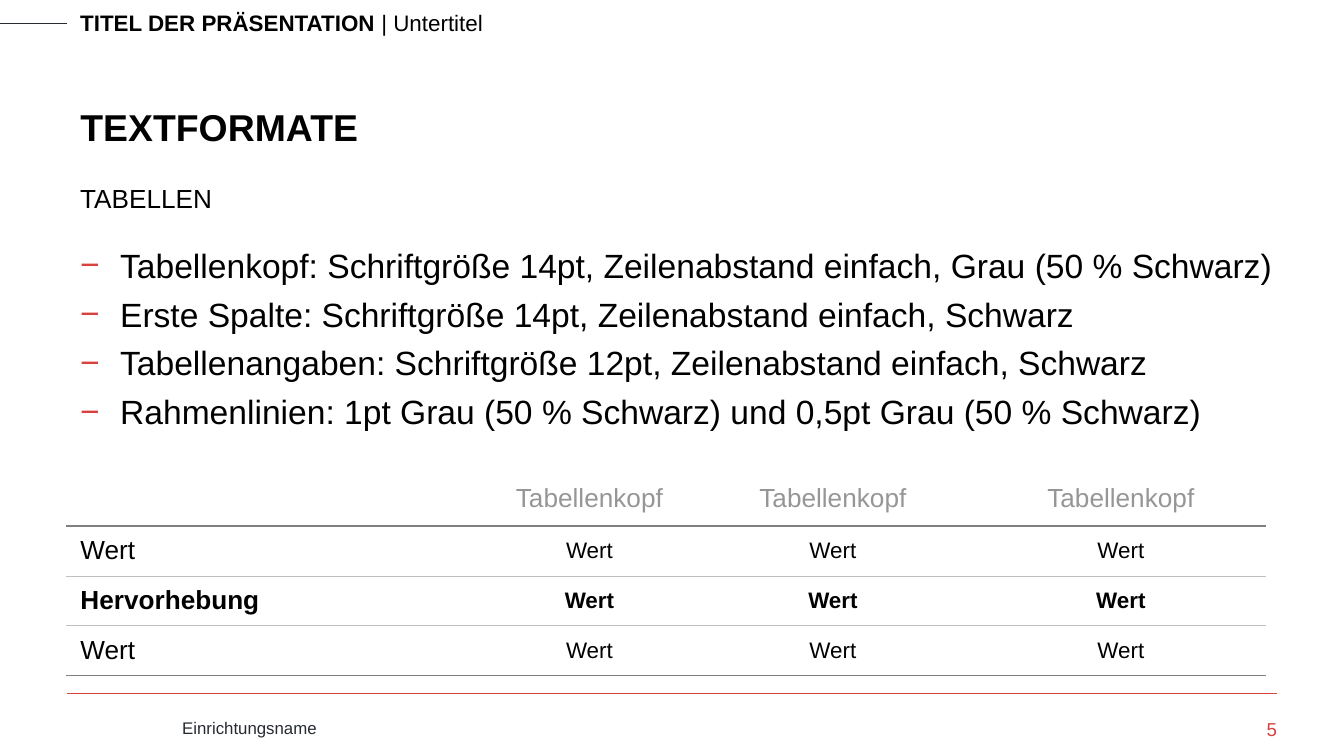
from lxml.etree import SubElement
from pptx import Presentation
from pptx.dml.color import RGBColor
from pptx.enum.shapes import MSO_CONNECTOR
from pptx.enum.text import MSO_ANCHOR, PP_ALIGN
from pptx.oxml import parse_xml
from pptx.oxml.ns import nsdecls, qn
from pptx.util import Emu, Pt

BLACK = RGBColor(0x00, 0x00, 0x00)
WHITE = RGBColor(0xFF, 0xFF, 0xFF)
INK = RGBColor(0x26, 0x2A, 0x31)
RED = RGBColor(0xD8, 0x41, 0x3E)
HEADER_GREY = RGBColor(0x96, 0x96, 0x96)
RULE_GREY = RGBColor(0x80, 0x80, 0x80)
LIGHT_GREY = RGBColor(0xBF, 0xBF, 0xBF)

BULLETS = [
    "Tabellenkopf: Schriftgröße 14pt, Zeilenabstand einfach, Grau (50 % Schwarz)",
    "Erste Spalte: Schriftgröße 14pt, Zeilenabstand einfach, Schwarz",
    "Tabellenangaben: Schriftgröße 12pt, Zeilenabstand einfach, Schwarz",
    "Rahmenlinien: 1pt Grau (50 % Schwarz) und 0,5pt Grau (50 % Schwarz)",
]
ROWS = [
    ["", "Tabellenkopf", "Tabellenkopf", "Tabellenkopf"],
    ["Wert", "Wert", "Wert", "Wert"],
    ["Hervorhebung", "Wert", "Wert", "Wert"],
    ["Wert", "Wert", "Wert", "Wert"],
]
COLUMN_WIDTHS = [423, 199, 288, 288]
ROW_HEIGHTS = [44, 50, 50, 50]
ROW_RULES = [(WHITE, 1), (RULE_GREY, 1), (LIGHT_GREY, 0.25), (LIGHT_GREY, 0.25), (RULE_GREY, 1)]


def px(length):
    return Emu(round(length * 914400 / 134.4))


def apply(target, values):
    for name, value in values.items():
        setattr(target, name, value)


class SlideBuilder:
    font_name = "Arial"

    def __init__(self, presentation):
        self.slide = presentation.slides.add_slide(presentation.slide_layouts[5])

    def add_run(self, paragraph, text, size, color=BLACK, bold=False):
        run = paragraph.add_run()
        run.text = text
        apply(run.font, {"name": self.font_name, "size": Pt(size), "bold": bold})
        run.font.color.rgb = color

    def title(self, box, text):
        shape = self.slide.shapes.title
        apply(shape, dict(zip(("left", "top", "width", "height"), map(px, box))))
        shape.text_frame.vertical_anchor = MSO_ANCHOR.BOTTOM
        paragraph = shape.text_frame.paragraphs[0]
        paragraph.alignment = PP_ALIGN.LEFT
        self.add_run(paragraph, text, 20, bold=True)

    def text(self, box, runs, **frame_format):
        frame = self.slide.shapes.add_textbox(*map(px, box)).text_frame
        apply(frame, {"word_wrap": True, **frame_format})
        for run in runs:
            self.add_run(frame.paragraphs[0], *run)
        return frame

    def bullets(self, box, items):
        frame = self.text(box, [])
        for index, item in enumerate(items):
            paragraph = frame.add_paragraph() if index else frame.paragraphs[0]
            paragraph.space_before = Pt(4.6 if index else 4)
            properties = paragraph._p.get_or_add_pPr()
            properties.set("marL", str(px(40)))
            properties.set("indent", str(px(-40)))
            color = SubElement(properties, qn("a:buClr"))
            SubElement(color, qn("a:srgbClr"), val=str(RED))
            SubElement(properties, qn("a:buFont"), typeface=self.font_name)
            SubElement(properties, qn("a:buChar"), char="−")
            self.add_run(paragraph, item, 18)

    def line(self, left, right, y, color):
        connector = self.slide.shapes.add_connector(
            MSO_CONNECTOR.STRAIGHT, px(left), px(y), px(right), px(y))
        connector.line.color.rgb = color
        connector.line.width = Pt(0.25)
        SubElement(connector._element.spPr, qn("a:effectLst"))

    def cell_borders(self, cell, top, bottom):
        properties = cell._tc.get_or_add_tcPr()
        side = (WHITE, 1)
        borders = {"lnL": side, "lnR": side, "lnT": top, "lnB": bottom}
        for index, (tag, (color, width)) in enumerate(borders.items()):
            properties.insert(index, parse_xml(
                f'<a:{tag} {nsdecls("a")} w="{Pt(width)}"><a:solidFill>'
                f'<a:srgbClr val="{color}"/></a:solidFill></a:{tag}>'))

    def table(self, left, top, rows, emphasized_row):
        box = (left, top, sum(COLUMN_WIDTHS), sum(ROW_HEIGHTS))
        table = self.slide.shapes.add_table(
            len(rows), len(COLUMN_WIDTHS), *map(px, box)).table
        apply(table, {"first_row": False, "horz_banding": False})
        for column, width in zip(table.columns, COLUMN_WIDTHS):
            column.width = px(width)
        for row_index, row in enumerate(rows):
            table.rows[row_index].height = px(ROW_HEIGHTS[row_index])
            for column_index, text in enumerate(row):
                cell = table.cell(row_index, column_index)
                cell.vertical_anchor = MSO_ANCHOR.MIDDLE
                cell.fill.background()
                self.cell_borders(cell, *ROW_RULES[row_index:row_index + 2])
                paragraph = cell.text_frame.paragraphs[0]
                paragraph.alignment = PP_ALIGN.CENTER if column_index else PP_ALIGN.LEFT
                size = 12 if row_index and column_index else 14
                color = BLACK if row_index else HEADER_GREY
                self.add_run(paragraph, text, size, color, row_index == emphasized_row)


def main():
    presentation = Presentation()
    apply(presentation, {"slide_width": px(1344), "slide_height": px(756)})
    builder = SlideBuilder(presentation)
    builder.line(0, 67, 23, INK)
    builder.text((67, 3, 1030, 40), [
        ("TITEL DER PRÄSENTATION ", 12, BLACK, True), ("| Untertitel", 12)])
    builder.line(67, 1277, 693, RED)
    builder.text((169, 711, 997, 34), [("Einrichtungsname", 9, INK)])
    builder.title((67, 44, 1211, 112), "TEXTFORMATE")
    builder.bullets((67, 238, 1235, 440), BULLETS)
    builder.text((67, 165, 1211, 55), [("TABELLEN", 14)], vertical_anchor=MSO_ANCHOR.BOTTOM)
    builder.table(67, 472, ROWS, emphasized_row=2)
    margins = dict.fromkeys(("margin_left", "margin_top", "margin_right", "margin_bottom"), 0)
    number = builder.text((1168, 718, 109, 30), [("5", 10, RED)], **margins)
    number.paragraphs[0].alignment = PP_ALIGN.RIGHT
    presentation.save("out.pptx")


if __name__ == "__main__":
    main()
